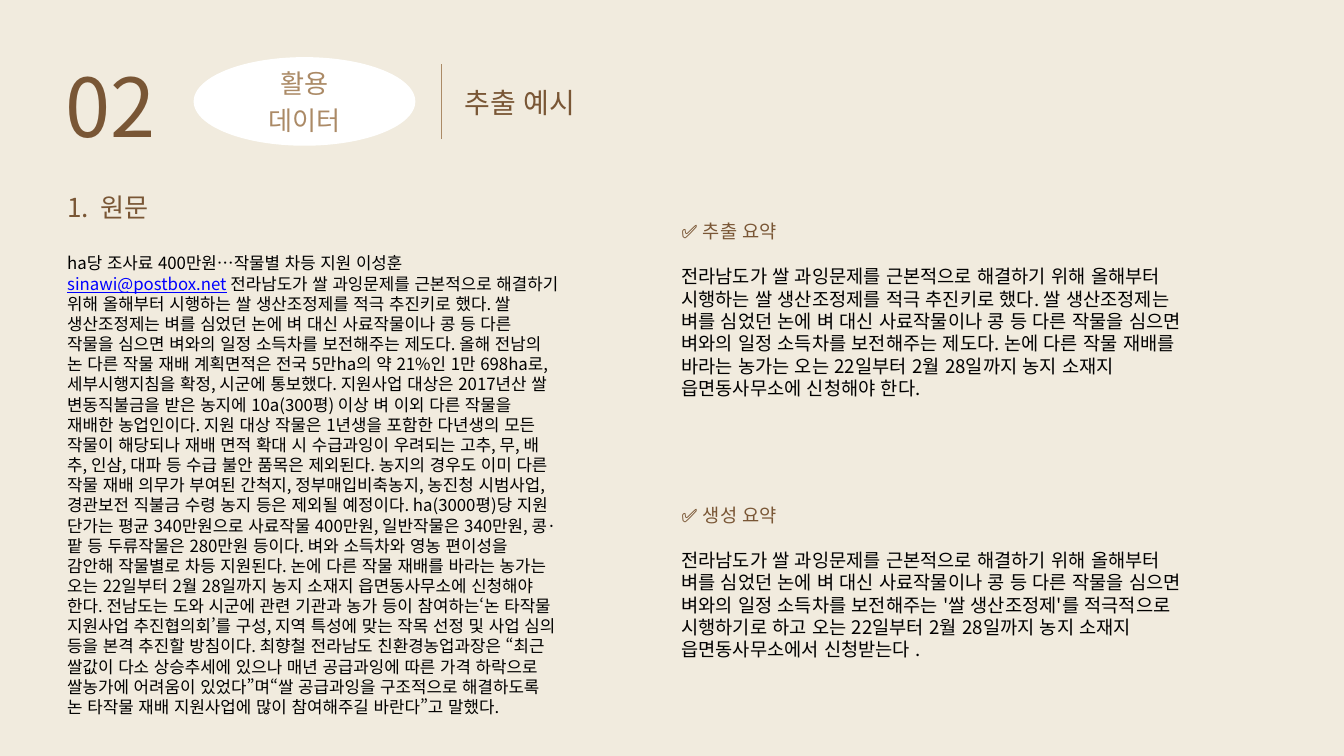
from dataclasses import dataclass

from lxml import etree
from pptx import Presentation
from pptx.dml.color import RGBColor
from pptx.enum.lang import MSO_LANGUAGE_ID
from pptx.enum.shapes import MSO_CONNECTOR, MSO_SHAPE
from pptx.enum.text import MSO_ANCHOR, MSO_AUTO_SIZE, PP_ALIGN
from pptx.oxml.ns import qn
from pptx.util import Cm, Pt

LEFT, CENTER, JUSTIFY = PP_ALIGN.LEFT, PP_ALIGN.CENTER, PP_ALIGN.JUSTIFY
TOP, NO_FIT = MSO_ANCHOR.TOP, MSO_AUTO_SIZE.NONE
STRAIGHT, OVAL = MSO_CONNECTOR.STRAIGHT, MSO_SHAPE.OVAL
KOREAN = MSO_LANGUAGE_ID.KOREAN
COMPARISON_LAYOUT = 4


@dataclass(frozen=True)
class Theme:
    font: str = "Noto Sans CJK KR"
    paper: RGBColor = RGBColor(0xF1, 0xEB, 0xDE)
    white: RGBColor = RGBColor(0xFF, 0xFF, 0xFF)
    brown: RGBColor = RGBColor(0x79, 0x56, 0x35)
    tan: RGBColor = RGBColor(0xAB, 0x8A, 0x66)
    ink: RGBColor = RGBColor(0, 0, 0)
    mail: RGBColor = RGBColor(0, 0, 0xFF)
    number: int = 87
    title: int = 30
    heading: int = 28
    summary: int = 20
    source: int = 18


THEME = Theme()

MAIL = "sinawi@postbox.net"
SOURCE_LEAD = "ha당 조사료 400만원…작물별 차등 지원 이성훈 "
SOURCE_SENTENCES = (
    "전라남도가 쌀 과잉문제를 근본적으로 해결하기 위해 올해부터 시행하는 쌀 생산조정제를 적극 추진키로 했다.",
    "쌀 생산조정제는 벼를 심었던 논에 벼 대신 사료작물이나 콩 등 다른 작물을 심으면 벼와의 일정 소득차를 "
    "보전해주는 제도다.",
    "올해 전남의 논 다른 작물 재배 계획면적은 전국 5만ha의 약 21%인 1만 698ha로, 세부시행지침을 확정, "
    "시군에 통보했다.",
    "지원사업 대상은 2017년산 쌀 변동직불금을 받은 농지에 10a(300평) 이상 벼 이외 다른 작물을 재배한 "
    "농업인이다.",
    "지원 대상 작물은 1년생을 포함한 다년생의 모든 작물이 해당되나 재배 면적 확대 시 수급과잉이 우려되는 "
    "고추, 무, 배추, 인삼, 대파 등 수급 불안 품목은 제외된다.",
    "농지의 경우도 이미 다른 작물 재배 의무가 부여된 간척지, 정부매입비축농지, 농진청 시범사업, 경관보전 "
    "직불금 수령 농지 등은 제외될 예정이다.",
    "ha(3000평)당 지원 단가는 평균 340만원으로 사료작물 400만원, 일반작물은 340만원, 콩·팥 등 두류작물은 "
    "280만원 등이다.",
    "벼와 소득차와 영농 편이성을 감안해 작물별로 차등 지원된다.",
    "논에 다른 작물 재배를 바라는 농가는 오는 22일부터 2월 28일까지 농지 소재지 읍면동사무소에 신청해야 한다.",
    "전남도는 도와 시군에 관련 기관과 농가 등이 참여하는‘논 타작물 지원사업 추진협의회’를 구성, 지역 특성에 "
    "맞는 작목 선정 및 사업 심의 등을 본격 추진할 방침이다.",
    "최향철 전라남도 친환경농업과장은 “최근 쌀값이 다소 상승추세에 있으나 매년 공급과잉에 따른 가격 하락으로 "
    "쌀농가에 어려움이 있었다”며“쌀 공급과잉을 구조적으로 해결하도록 논 타작물 재배 지원사업에 많이 "
    "참여해주길 바란다”고 말했다.",
)
EXTRACTED = " ".join(SOURCE_SENTENCES[index] for index in (0, 1, 8))
GENERATED = (
    "전라남도가 쌀 과잉문제를 근본적으로 해결하기 위해 올해부터 벼를 심었던 논에 벼 대신 사료작물이나 콩 "
    "등 다른 작물을 심으면 벼와의 일정 소득차를 보전해주는 '쌀 생산조정제'를 적극적으로 시행하기로 하고 "
    "오는 22일부터 2월 28일까지 농지 소재지 읍면동사무소에서 신청받는다 ."
)


def set_all(target, values):
    for name, value in values.items():
        setattr(target, name, value)


def place(shape, left, top, width, height):
    set_all(shape, {"left": Cm(left), "top": Cm(top), "width": Cm(width), "height": Cm(height)})


def open_frame(shape, inset=0):
    """Prepare an empty top-anchored, wrapping frame and return it."""
    frame = shape.text_frame
    set_all(frame, {
        "word_wrap": True, "auto_size": NO_FIT, "vertical_anchor": TOP,
        "margin_left": Cm(inset), "margin_right": Cm(inset),
        "margin_top": Cm(inset / 2), "margin_bottom": 0,
    })
    return frame


def write(frame, runs, size, line, align=LEFT, after=0, numbered=False):
    """Add a paragraph of (text, colour, underlined) runs; line and after are in points."""
    first = frame.paragraphs[0]
    paragraph = frame.add_paragraph() if first.runs else first
    set_all(paragraph, {
        "alignment": align, "line_spacing": Pt(line),
        "space_before": Pt(0), "space_after": Pt(after),
    })
    properties = paragraph._p.get_or_add_pPr()
    hanging = Cm(1.27) if numbered else 0
    properties.set("marL", str(hanging))
    properties.set("indent", str(-hanging))
    if numbered:
        etree.SubElement(properties, qn("a:buFont")).set("typeface", THEME.font)
        etree.SubElement(properties, qn("a:buAutoNum")).set("type", "arabicPeriod")
    else:
        etree.SubElement(properties, qn("a:buNone"))
    for text, colour, underlined in runs:
        run = paragraph.add_run()
        run.text = text
        set_all(run.font, {
            "name": THEME.font, "size": Pt(size), "bold": False,
            "underline": underlined, "language_id": KOREAN,
        })
        run.font.color.rgb = colour
        east_asian = etree.Element(qn("a:ea"))
        east_asian.set("typeface", THEME.font)
        run.font._element.find(qn("a:latin")).addnext(east_asian)


def header(slide, left, top):
    shapes = slide.shapes
    oval = shapes.add_shape(OVAL, Cm(left + 4.83), Cm(top + 0.66), Cm(8.38), Cm(3.35))
    oval.shadow.inherit = False
    oval.fill.solid()
    oval.fill.fore_color.rgb = THEME.white
    oval.line.fill.background()

    number = shapes.add_textbox(Cm(left), Cm(top), Cm(3.84), Cm(4.01))
    write(open_frame(number), [("02", THEME.brown, False)], THEME.number, 121.9)

    section = shapes.add_textbox(Cm(left + 6.68), Cm(top + 0.86), Cm(4.65), Cm(2.67))
    section_frame = open_frame(section)
    for word in ("활용", "데이터"):
        write(section_frame, [(word, THEME.tan, False)], THEME.heading, 39.3, CENTER)

    rule_x = Cm(left + 14.2)
    rule = shapes.add_connector(STRAIGHT, rule_x, Cm(top + 3.76), rule_x, Cm(top + 0.91))
    rule.line.color.rgb = THEME.tan
    rule.line.width = Pt(1.5)
    etree.SubElement(rule._element.spPr, qn("a:effectLst"))

    title = shapes.title
    place(title, left + 15.06, top + 1.52, 19.28, 1.35)
    write(open_frame(title), [("추출 예시", THEME.brown, False)], THEME.title, 41.5)


def source_article(body, left, top, width, height):
    place(body, left, top, width, height)
    frame = open_frame(body)
    write(frame, [("원문", THEME.brown, False)], THEME.heading, 50.4, JUSTIFY, 32.4, numbered=True)
    article = [
        (SOURCE_LEAD, THEME.ink, False),
        (MAIL, THEME.mail, True),
        (" " + " ".join(SOURCE_SENTENCES), THEME.ink, False),
    ]
    write(frame, article, THEME.source, 1.2 * THEME.source)


def summary(body, heading, text, left, top, width, height):
    place(body, left, top, width, height)
    frame = open_frame(body, inset=0.25)
    line = 1.2 * THEME.summary
    write(frame, [("✅ " + heading, THEME.brown, False)], THEME.summary, line, after=line)
    write(frame, [(text, THEME.ink, False)], THEME.summary, line)


def main():
    deck = Presentation()
    set_all(deck, {"slide_width": Cm(50.8), "slide_height": Cm(28.58)})
    slide = deck.slides.add_slide(deck.slide_layouts[COMPARISON_LAYOUT])
    slide.background.fill.solid()
    slide.background.fill.fore_color.rgb = THEME.paper

    _, source, extracted, spare, generated = slide.placeholders
    spare._element.getparent().remove(spare._element)

    header(slide, 2.49, 1.5)
    source_article(source, 2.54, 6.65, 18.57, 21.41)
    summary(extracted, "추출 요약", EXTRACTED, 25.5, 8.2, 20, 9.02)
    summary(generated, "생성 요약", GENERATED, 25.5, 18.92, 20, 6.99)
    deck.save("out.pptx")


if __name__ == "__main__":
    main()
